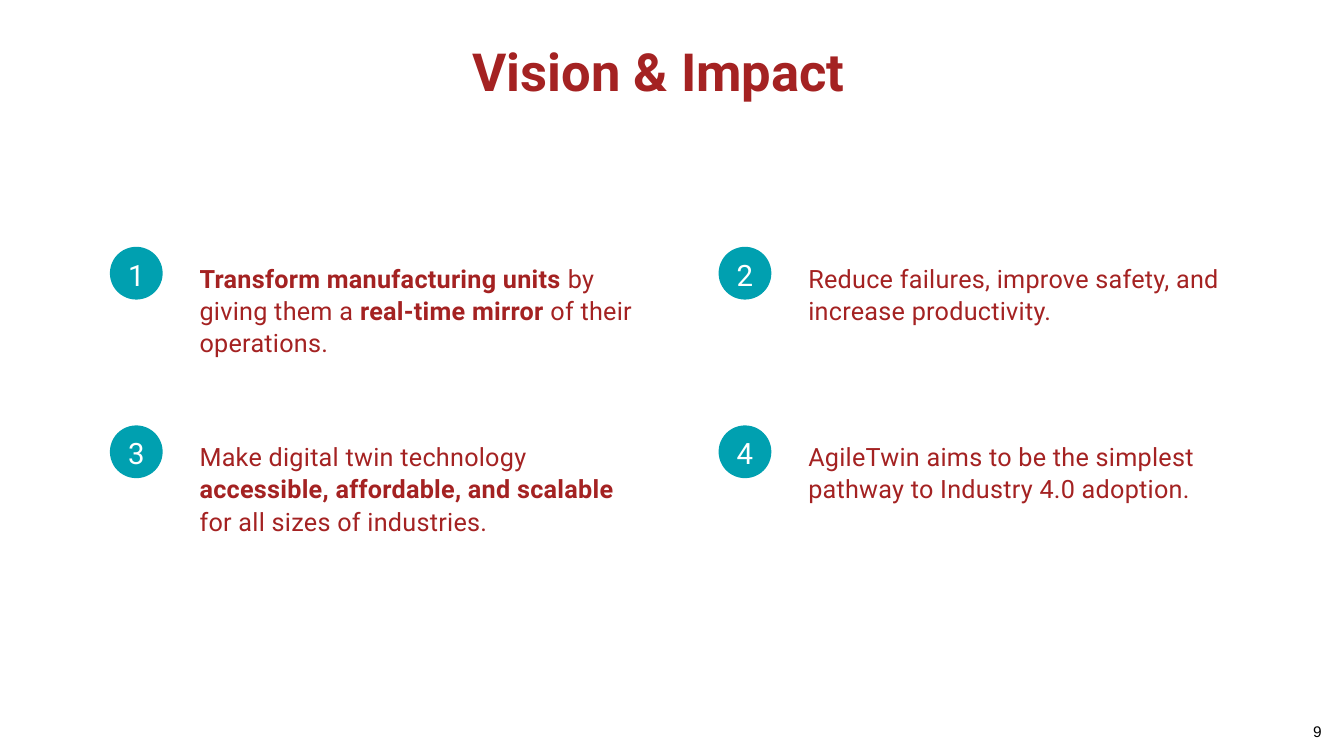
from dataclasses import dataclass
from pptx import Presentation
from pptx.dml.color import RGBColor
from pptx.enum.shapes import MSO_SHAPE
from pptx.enum.text import MSO_ANCHOR, PP_ALIGN
from pptx.util import Cm, Pt


@dataclass(frozen=True)
class Theme:
    red: str = "A42222"
    teal: str = "00A0B0"
    white: str = "FFFFFF"
    black: str = "000000"
    font: str = "Roboto"
    page_font: str = "Arial"
    title: float = 37.5
    number: float = 21
    body: float = 18
    page: float = 11


def write(tf, runs, *, size, color, font, bold=False, align=PP_ALIGN.LEFT,
          leading=None, spacing=None, anchor=MSO_ANCHOR.TOP, inset=0):
    tf.word_wrap = True
    tf.vertical_anchor = anchor
    tf.margin_left = tf.margin_right = Cm(inset)
    tf.margin_top = tf.margin_bottom = Cm(inset / 2)
    p = tf.paragraphs[0]
    p.alignment = align
    if leading:
        p.line_spacing = Pt(leading)
    for text, strong in [(runs, bold)] if isinstance(runs, str) else runs:
        r = p.add_run()
        r.text = text
        r.font.name = font
        r.font.size = Pt(size)
        r.font.bold = strong
        r.font.color.rgb = RGBColor.from_string(color)
        if spacing:
            r.font._element.set("spc", str(round(spacing * 100)))


class SlideBuilder:
    def __init__(self, prs, theme):
        self.theme = theme
        self.s = prs.slides.add_slide(prs.slide_layouts[6])

    def text(self, x, y, w, h, runs, **fmt):
        box = self.s.shapes.add_textbox(Cm(x), Cm(y), Cm(w), Cm(h))
        write(box.text_frame, runs, **fmt)

    def title(self, text):
        t = self.theme
        self.text(0, 1.07, 33.2, 1.5, text, size=t.title, color=t.red,
                  font=t.font, bold=True, align=PP_ALIGN.CENTER, leading=42.6)

    def badge(self, x, y, number):
        t = self.theme
        sp = self.s.shapes.add_shape(MSO_SHAPE.OVAL, Cm(x), Cm(y), Cm(1.33), Cm(1.33))
        sp.shadow.inherit = False
        sp.fill.solid()
        sp.fill.fore_color.rgb = RGBColor.from_string(t.teal)
        sp.line.fill.background()
        write(sp.text_frame, str(number), size=t.number, color=t.white, font=t.font,
              align=PP_ALIGN.CENTER, leading=26.8, spacing=0.2, anchor=MSO_ANCHOR.MIDDLE)

    def point(self, x, y, number, runs):
        t = self.theme
        self.badge(x, y, number)
        self.text(x + 2.26, y + 0.36, 11.35, 2.44, runs, size=t.body, color=t.red,
                  font=t.font, leading=23, spacing=0.2)

    def page_number(self, number):
        t = self.theme
        self.text(32.84, 18.08, 1.02, 0.84, str(number), size=t.page,
                  color=t.black, font=t.page_font, inset=0.25)


POINTS = [
    [("Transform manufacturing units", True), (" by giving them a ", False),
     ("real-time mirror", True), (" of their operations.", False)],
    "Reduce failures, improve safety, and increase productivity.",
    [("Make digital twin technology ", False),
     ("accessible, affordable, and scalable", True),
     (" for all sizes of industries.", False)],
    "AgileTwin aims to be the simplest pathway to Industry 4.0 adoption.",
]


def main():
    prs = Presentation()
    prs.slide_width, prs.slide_height = Cm(33.87), Cm(19.05)
    slide = SlideBuilder(prs, Theme())
    slide.title("Vision & Impact")
    for i, runs in enumerate(POINTS):
        row, col = divmod(i, 2)
        slide.point(2.77 + col * 15.34, 6.22 + row * 4.5, i + 1, runs)
    slide.page_number(9)
    prs.save("out.pptx")


if __name__ == "__main__":
    main()
